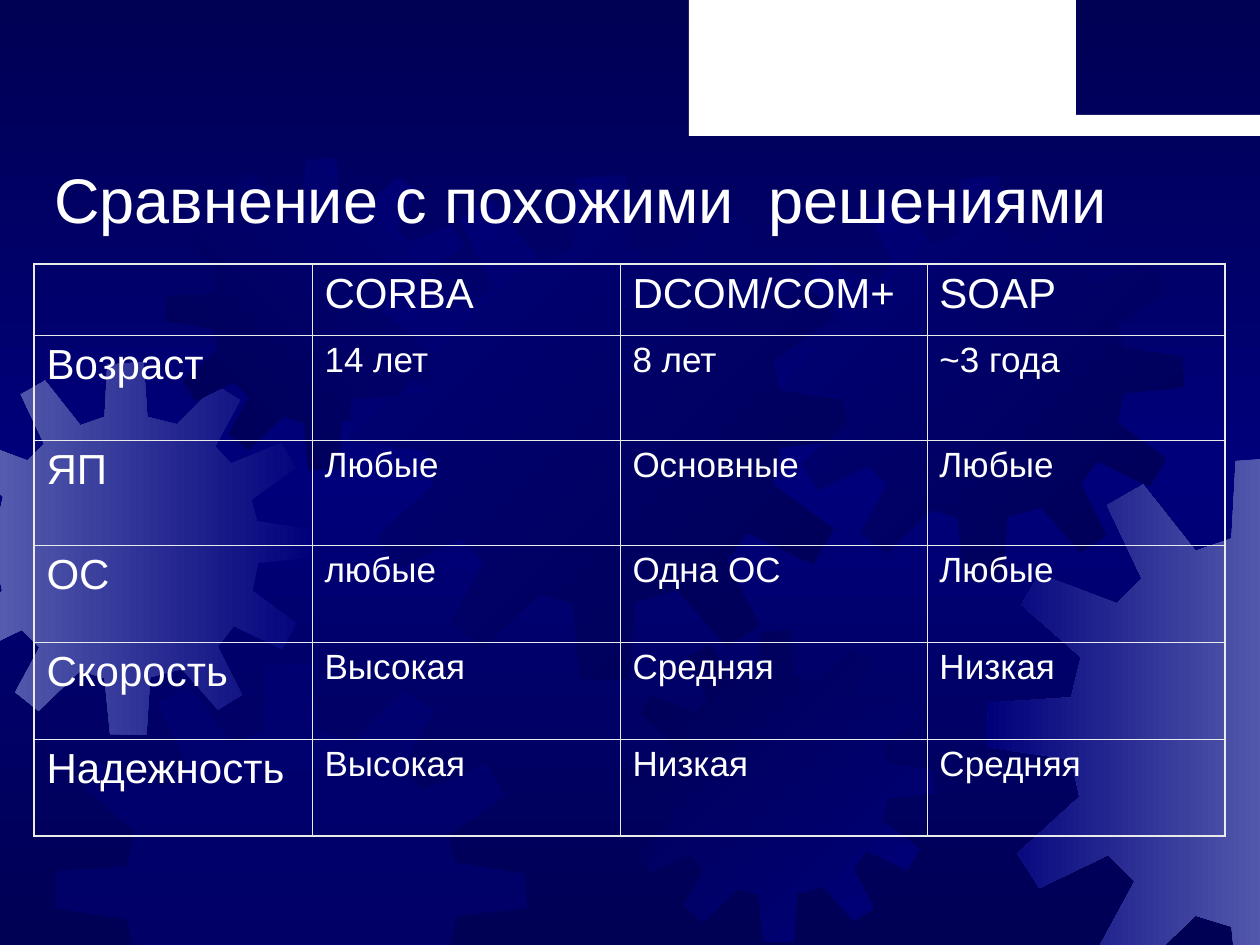
from copy import deepcopy
from dataclasses import dataclass

from lxml.etree import SubElement
from pptx import Presentation
from pptx.dml.color import RGBColor
from pptx.enum.shapes import MSO_SHAPE
from pptx.enum.text import MSO_ANCHOR
from pptx.oxml.ns import qn
from pptx.util import Emu, Pt

PIXEL = 914400 // 126
WIDTH, HEIGHT = 1260, 945
RIGHT_LIMIT, BOTTOM_LIMIT = 1270, 951


@dataclass(frozen=True)
class Theme:
    """Colours, font and type sizes of the slide."""
    navy: str = "000054"
    blue: str = "00007A"
    haze: str = "555BAD"
    white: str = "FFFFFF"
    rule: str = "EAEAEA"
    font: str = "Arial"
    title_size: int = 36
    heading_size: int = 24
    value_size: int = 20
    inner_rule: float = 0.45
    outer_rule: float = 1.08


THEME = Theme()

GEAR_UNIT = 401
GEAR_OUTLINE = [
    (255, 67), (223, 59), (219, 0), (180, 3), (177, 59), (151, 68), (113, 20), (87, 35),
    (112, 88), (94, 106), (38, 85), (25, 107), (68, 145), (61, 174), (1, 178), (0, 210),
    (61, 219), (67, 246), (22, 287), (38, 312), (88, 288), (107, 307), (81, 355), (106, 375),
    (151, 332), (177, 340), (183, 400), (222, 401), (226, 339), (260, 330), (299, 374), (325, 358),
    (299, 306), (316, 284), (368, 309), (384, 281), (336, 246), (342, 216), (402, 210), (400, 180),
    (341, 171), (335, 148), (383, 114), (367, 87), (313, 109), (296, 91), (323, 41), (297, 25),
]

GEARS = [
    (-60, 362, 373, (THEME.blue, THEME.haze), 180),
    (166, 158, 312, (THEME.blue, THEME.navy), 135),
    (350, 175, 505, (THEME.navy, THEME.blue), 225),
    (55, 662, 471, (THEME.blue,), 0),
    (621, 630, 312, (THEME.blue, THEME.navy), 225),
    (780, 176, 403, (THEME.navy, THEME.blue), 225),
    (987, 457, 554, (THEME.haze, THEME.blue), 180),
]

COLUMN_WIDTHS = [278, 308, 307, 298]
ROW_HEIGHTS = [71, 105, 105, 97, 97, 97]
COMPARISON = [
    ["", "CORBA", "DCOM/COM+", "SOAP"],
    ["Возраст", "14 лет", "8 лет", "~3 года"],
    ["ЯП", "Любые", "Основные", "Любые"],
    ["ОС", "любые", "Одна ОС", "Любые"],
    ["Скорость", "Высокая", "Средняя", "Низкая"],
    ["Надежность", "Высокая", "Низкая", "Средняя"],
]


def px(length):
    """Turn whole pixels into EMU."""
    return Emu(length * PIXEL)


def paint_gradient(fill, element, colours, angle):
    """Fill with evenly spaced colours at a clockwise angle."""
    fill.gradient()
    stop_list = element.find(".//" + qn("a:gsLst"))
    for _ in colours[2:]:
        stop_list.insert(1, deepcopy(stop_list[0]))
    for index, (stop, colour) in enumerate(zip(fill.gradient_stops, colours)):
        stop.color.rgb = RGBColor.from_string(colour)
        stop.position = index / (len(colours) - 1)
    fill.gradient_angle = -angle % 360


def paint_solid(fill, colour, opacity=100):
    """Fill with one colour, optionally see-through."""
    fill.solid()
    fill.fore_color.rgb = RGBColor.from_string(colour)
    if opacity < 100:
        colour_element = fill._xPr.find(".//" + qn("a:srgbClr"))
        SubElement(colour_element, qn("a:alpha"), val=str(opacity * 1000))


def write_text(frame, text, *, size, colour=THEME.white, anchor=MSO_ANCHOR.TOP):
    """Write one paragraph with its format."""
    frame.word_wrap = True
    frame.vertical_anchor = anchor
    run = frame.paragraphs[0].add_run()
    run.text = text
    run.font.name = THEME.font
    run.font.size = Pt(size)
    run.font.color.rgb = RGBColor.from_string(colour)


def clip(points, axis, limit, side):
    """Cut a polygon along one upright or level line."""
    kept = []
    for start, end in zip(points[-1:] + points[:-1], points):
        start_gap, end_gap = (side * (limit - point[axis]) for point in (start, end))
        if start_gap * end_gap < 0:
            share = start_gap / (start_gap - end_gap)
            kept.append(tuple(a + share * (b - a) for a, b in zip(start, end)))
        if end_gap >= 0:
            kept.append(end)
    return kept


def add_gear(slide, left, top, size, colours, angle):
    """Draw a gear cut off at the slide edges."""
    scale = size / GEAR_UNIT
    points = [(left + x * scale, top + y * scale) for x, y in GEAR_OUTLINE]
    for axis, limit, side in ((0, 0, -1), (0, RIGHT_LIMIT, 1), (1, BOTTOM_LIMIT, 1)):
        points = clip(points, axis, limit, side)
    corners = [(round(x * PIXEL), round(y * PIXEL)) for x, y in points]
    builder = slide.shapes.build_freeform(*corners[0])
    builder.add_line_segments(corners[1:], close=True)
    gear = builder.convert_to_shape()
    gear.shadow.inherit = False
    gear.line.fill.background()
    if len(colours) == 1:
        paint_solid(gear.fill, colours[0], opacity=50)
    else:
        paint_gradient(gear.fill, gear.element, colours, angle)


def add_block(slide, left, top, width, height):
    """Draw a plain white rectangle."""
    block = slide.shapes.add_shape(MSO_SHAPE.RECTANGLE, px(left), px(top), px(width), px(height))
    block.shadow.inherit = False
    block.line.fill.background()
    paint_solid(block.fill, THEME.white)


def add_title(slide, text):
    """Place the slide title."""
    box = slide.shapes.add_textbox(px(42), px(158), px(1176), px(84))
    write_text(box.text_frame, text, size=THEME.title_size, anchor=MSO_ANCHOR.BOTTOM)


def add_borders(cell, outer_edges):
    """Rule a cell, with a heavier line on the outer edges."""
    properties = cell._tc.get_or_add_tcPr()
    for edge in "LRTB":
        weight = THEME.outer_rule if edge in outer_edges else THEME.inner_rule
        line = SubElement(properties, qn(f"a:ln{edge}"), w=str(Pt(weight)))
        SubElement(SubElement(line, qn("a:solidFill")), qn("a:srgbClr"), val=THEME.rule)


def add_comparison_table(slide, left, top):
    """Build the table of technologies."""
    last_row, last_column = len(ROW_HEIGHTS) - 1, len(COLUMN_WIDTHS) - 1
    table = slide.shapes.add_table(
        len(ROW_HEIGHTS), len(COLUMN_WIDTHS), px(left), px(top),
        px(sum(COLUMN_WIDTHS)), px(sum(ROW_HEIGHTS))).table
    table.first_row = table.horz_banding = False
    for column, width in zip(table.columns, COLUMN_WIDTHS):
        column.width = px(width)
    for row_index, (row, height) in enumerate(zip(table.rows, ROW_HEIGHTS)):
        row.height = px(height)
        for column_index, cell in enumerate(row.cells):
            edges = {"L": column_index == 0, "R": column_index == last_column,
                     "T": row_index == 0, "B": row_index == last_row}
            add_borders(cell, [edge for edge, is_outer in edges.items() if is_outer])
            cell.fill.background()
            is_heading = row_index == 0 or column_index == 0
            text = COMPARISON[row_index][column_index]
            if text:
                write_text(cell.text_frame, text,
                           size=THEME.heading_size if is_heading else THEME.value_size)


def main():
    """Build and save the slide."""
    presentation = Presentation()
    presentation.slide_width, presentation.slide_height = px(WIDTH), px(HEIGHT)
    slide = presentation.slides.add_slide(presentation.slide_layouts[6])
    paint_gradient(slide.background.fill, slide.element, (THEME.navy, THEME.blue, THEME.navy), 90)
    for gear in GEARS:
        add_gear(slide, *gear)
    add_block(slide, 1067, 115, 201, 21)
    add_block(slide, 689, 0, 387, 136)
    add_title(slide, "Сравнение с похожими  решениями")
    add_comparison_table(slide, 34, 264)
    presentation.save("out.pptx")


if __name__ == "__main__":
    main()
